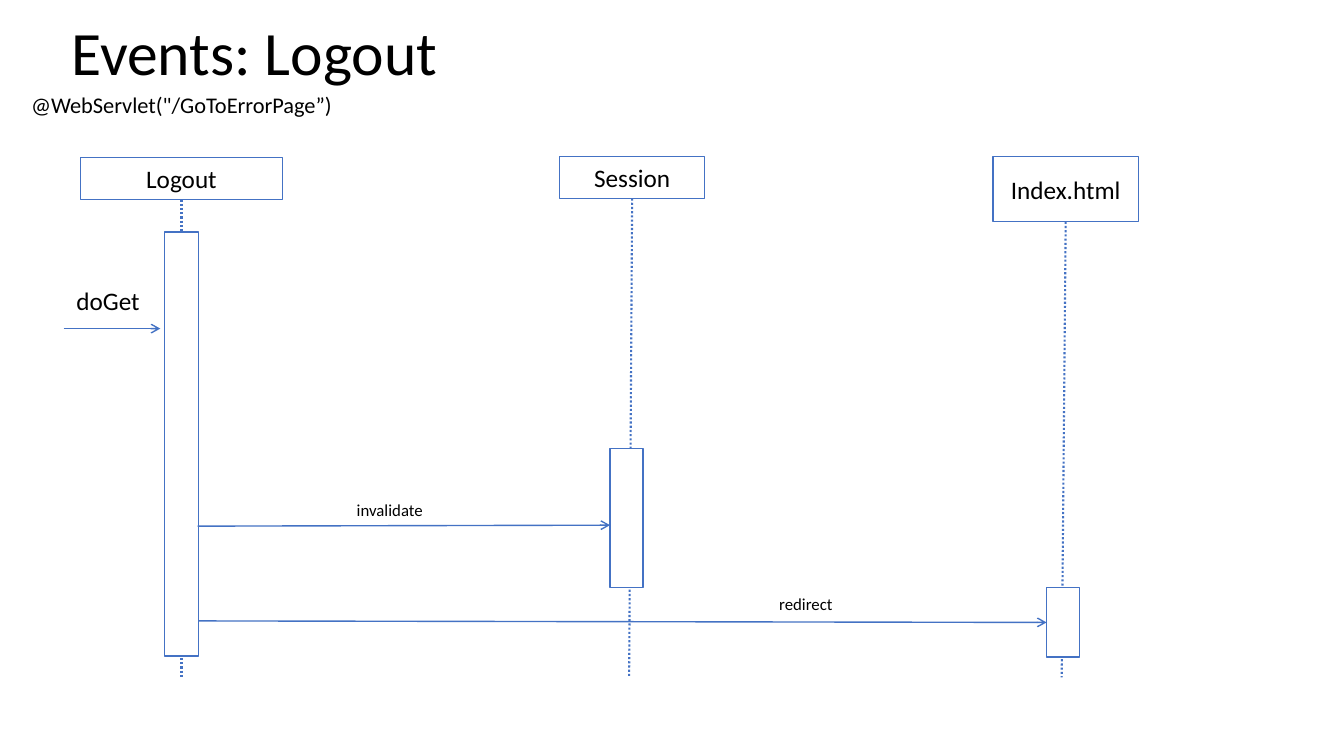
from lxml import etree
from pptx import Presentation
from pptx.dml.color import RGBColor
from pptx.enum import dml, shapes, text
from pptx.oxml.ns import qn
from pptx.util import Inches, Pt

BLUE, BLACK, WHITE = "4472C4", "000000", "FFFFFF"


def color(value):
    return RGBColor.from_string(value)


def write(box, words, size, wrap=True):
    frame = box.text_frame
    frame.word_wrap = wrap
    para = frame.paragraphs[0]
    para.text = words
    para.font.name = "Calibri"
    para.font.size = Pt(size)
    para.font.color.rgb = color(BLACK)
    return para


deck = Presentation()
deck.slide_width, deck.slide_height = Inches(13.33), Inches(7.5)
page = deck.slides.add_slide(deck.slide_layouts[6])

labels = [
    ("Events: Logout", 44, 0.61, -0.17, 11.33, 1.45),
    ('@WebServlet("/GoToErrorPage”)', 16, 0.21, 0.86, 3.52, 0.37),
    ("doGet", 18, 0.66, 2.78, 0.84, 0.4),
    ("invalidate", 12, 3.44, 4.91, 3.56, 0.3),
    ("redirect", 12, 7.63, 5.84, 3.56, 0.3),
]
for words, size, *place in labels:
    box = page.shapes.add_textbox(*map(Inches, place))
    para = write(box, words, size, wrap=words != "doGet")
    if size == 44:
        para.line_spacing = 0.9
        box.text_frame.vertical_anchor = text.MSO_ANCHOR.MIDDLE

participants = [
    ("Logout", (0.8, 1.56, 2, 0.42), 1.8, (1.63, 2.3, 0.34, 4.21)),
    ("Session", (5.55, 1.55, 1.44, 0.42), 6.24, (6.05, 4.45, 0.33, 1.38)),
    ("Index.html", (9.85, 1.55, 1.44, 0.65), 10.53, (10.38, 5.83, 0.33, 0.69)),
]
activations = {}
for name, header_place, foot, bar_place in participants:
    lifeline = page.shapes.add_connector(
        shapes.MSO_CONNECTOR.STRAIGHT, Inches(foot), Inches(2), Inches(foot), Inches(6.72))
    lifeline.line.color.rgb = color(BLUE)
    lifeline.line.width = Pt(1.5)
    lifeline.line.dash_style = dml.MSO_LINE.ROUND_DOT
    etree.SubElement(lifeline._element.spPr, qn("a:effectLst"))
    for words, place in ((name, header_place), ("", bar_place)):
        box = page.shapes.add_shape(shapes.MSO_SHAPE.RECTANGLE, *map(Inches, place))
        box.shadow.inherit = False
        box.fill.solid()
        box.fill.fore_color.rgb = color(WHITE)
        box.line.color.rgb = color(BLUE)
        box.line.width = Pt(1)
        if words:
            write(box, words, 18).alignment = text.PP_ALIGN.CENTER
            box.text_frame.vertical_anchor = text.MSO_ANCHOR.MIDDLE
            lifeline.begin_connect(box, 2)
        else:
            activations[name] = box

messages = [
    (0.63, 3.26, 1.59, 3.26, None),
    (1.96, 5.22, 6.05, 5.21, None),
    (1.97, 6.16, 10.38, 6.17, "Index.html"),
]
for *ends, target in messages:
    arrow = page.shapes.add_connector(shapes.MSO_CONNECTOR.STRAIGHT, *map(Inches, ends))
    arrow.line.color.rgb = color(BLUE)
    arrow.line.width = Pt(1)
    etree.SubElement(arrow.line._get_or_add_ln(), qn("a:tailEnd"), type="arrow")
    etree.SubElement(arrow._element.spPr, qn("a:effectLst"))
    if target:
        arrow.end_connect(activations[target], 1)

deck.save("out.pptx")
